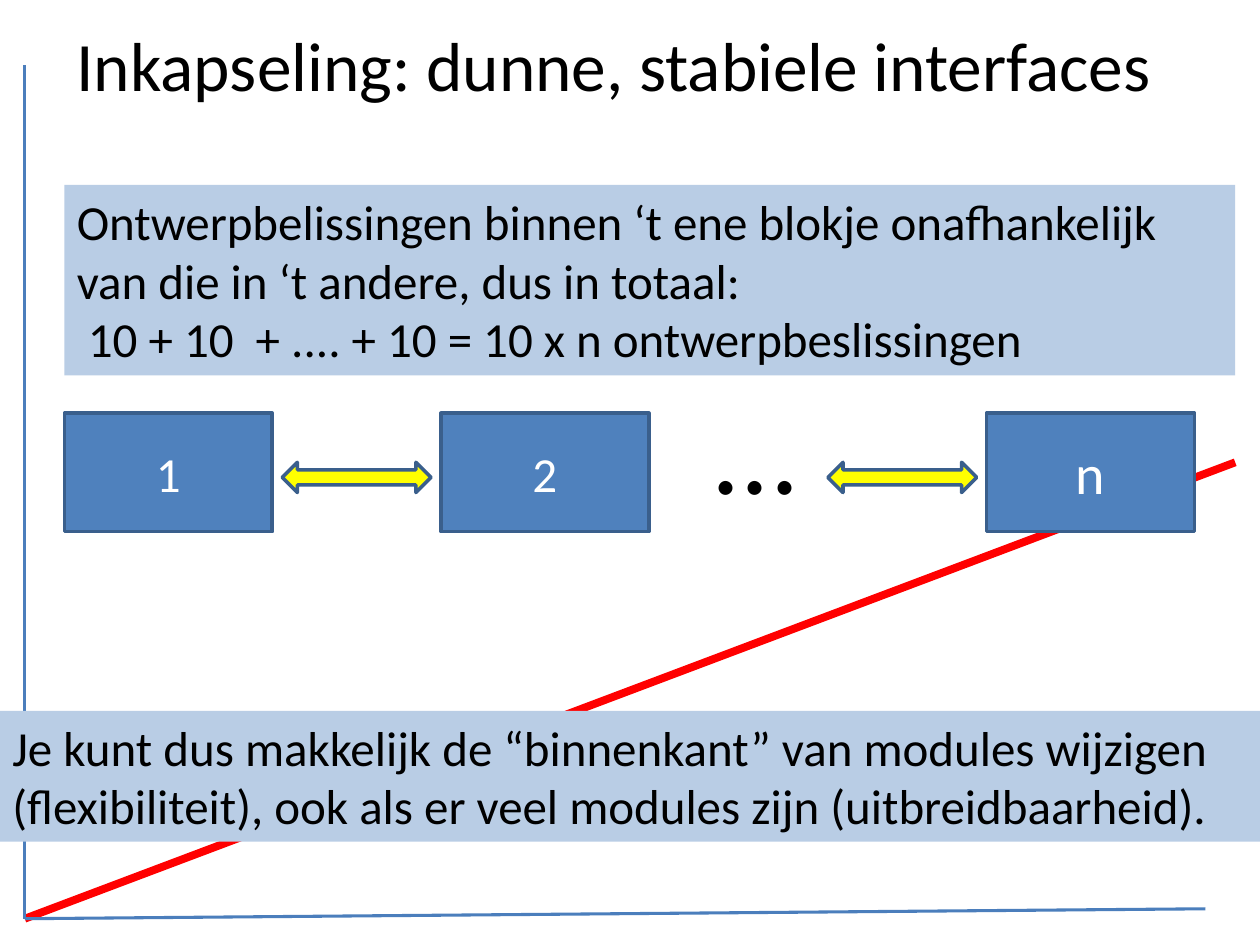
from pptx import Presentation
from pptx.dml.color import RGBColor
from pptx.enum.shapes import MSO_CONNECTOR as Wire, MSO_SHAPE as Form
from pptx.enum.text import MSO_ANCHOR as Anchor, PP_ALIGN as Align
from pptx.oxml.ns import qn
from pptx.util import Cm, Pt

INK, WHITE = "000000", "FFFFFF"
BLUE, EDGE, AXIS, PALE = "4F81BD", "3A5F8C", "4B7EBC", "B9CDE5"
YELLOW, RED = "FFFF00", "FF0000"


def paint(color):
    """Turn a hex string into a colour."""
    return RGBColor.from_string(color)


def write(shape, *lines, size=28, color=INK, align=Align.LEFT,
          anchor=Anchor.TOP, wrap=True, right=0.25):
    """Fill a shape with one paragraph for each line."""
    frame = shape.text_frame
    frame.word_wrap = wrap
    frame.vertical_anchor = anchor
    frame.margin_right = Cm(right)
    for i, line in enumerate(lines):
        para = frame.paragraphs[0] if i == 0 else frame.add_paragraph()
        para.alignment = align
        run = para.add_run()
        run.text = line
        run.font.name = "Calibri"
        run.font.size = Pt(size)
        run.font.color.rgb = paint(color)


def label(slide, box, *lines, **style):
    """Place a text box."""
    write(slide.shapes.add_textbox(*map(Cm, box)), *lines, **style)


def block(slide, box, fill, edge=None, form=Form.RECTANGLE):
    """Place a filled shape, with an outline if an edge colour is given."""
    shape = slide.shapes.add_shape(form, *map(Cm, box))
    shape.shadow.inherit = False
    shape.fill.solid()
    shape.fill.fore_color.rgb = paint(fill)
    if edge:
        shape.line.color.rgb = paint(edge)
        shape.line.width = Pt(2)
    else:
        shape.line.fill.background()
    return shape


def stroke(slide, start, end, color, width):
    """Draw a straight line between two points."""
    line = slide.shapes.add_connector(Wire.STRAIGHT, *map(Cm, start + end))
    line.line.color.rgb = paint(color)
    line.line.width = Pt(width)
    props = line._element.spPr
    props.append(props.makeelement(qn("a:effectLst"), {}))


def axes(slide, left, base):
    """Draw both axes from their shared origin."""
    for dx, dy in ((0, -17.2), (23.8, -0.2)):
        stroke(slide, (left, base), (left + dx, base + dy), AXIS, 1.75)


def chain(slide, left, top, wide, high):
    """Draw the modules, the arrows between them and the dots."""
    modules = (("1", 0, 28), ("2", 7.59, 28), ("n", 18.59, 32))
    for name, dx, size in modules:
        x = left + dx
        module = block(slide, (x, top, wide, high), BLUE, EDGE)
        write(module, name, size=size, color=WHITE, align=Align.CENTER,
              anchor=Anchor.MIDDLE)
        if dx:
            block(slide, (x - 3.2, top + 0.99, 3, 0.61), YELLOW, EDGE,
                  Form.LEFT_RIGHT_ARROW)
    label(slide, (left + 12.8, top - 0.81, 2.29, 3.07), "...",
          size=66, wrap=False)


def panel(slide, box, *lines):
    """Place a pale panel of text."""
    write(block(slide, box, PALE), *lines)


def build():
    """Build the slide and save it."""
    deck = Presentation()
    deck.slide_width, deck.slide_height = Cm(25.4), Cm(19.05)
    slide = deck.slides.add_slide(deck.slide_layouts[6])
    stroke(slide, (0.5, 18.52), (24.9, 9.32), RED, 4.5)
    chain(slide, 1.3, 8.33, 4.19, 2.39)
    panel(slide, (1.3, 3.73, 23.6, 3.84),
          "Ontwerpbelissingen binnen ‘t ene blokje onafhankelijk "
          "van die in ‘t andere, dus in totaal:",
          " 10 + 10  + .... + 10 = 10 x n ontwerpbeslissingen")
    label(slide, (1.09, 0, 23.27, 2.59),
          "Inkapseling: dunne, stabiele interfaces", size=39.6,
          align=Align.CENTER, anchor=Anchor.MIDDLE, right=0.95)
    axes(slide, 0.5, 18.52)
    panel(slide, (0, 14.33, 25.4, 2.64),
          "Je kunt dus makkelijk de “binnenkant” van modules wijzigen "
          "(flexibiliteit), ook als er veel modules zijn "
          "(uitbreidbaarheid).")
    deck.save("out.pptx")


build()
